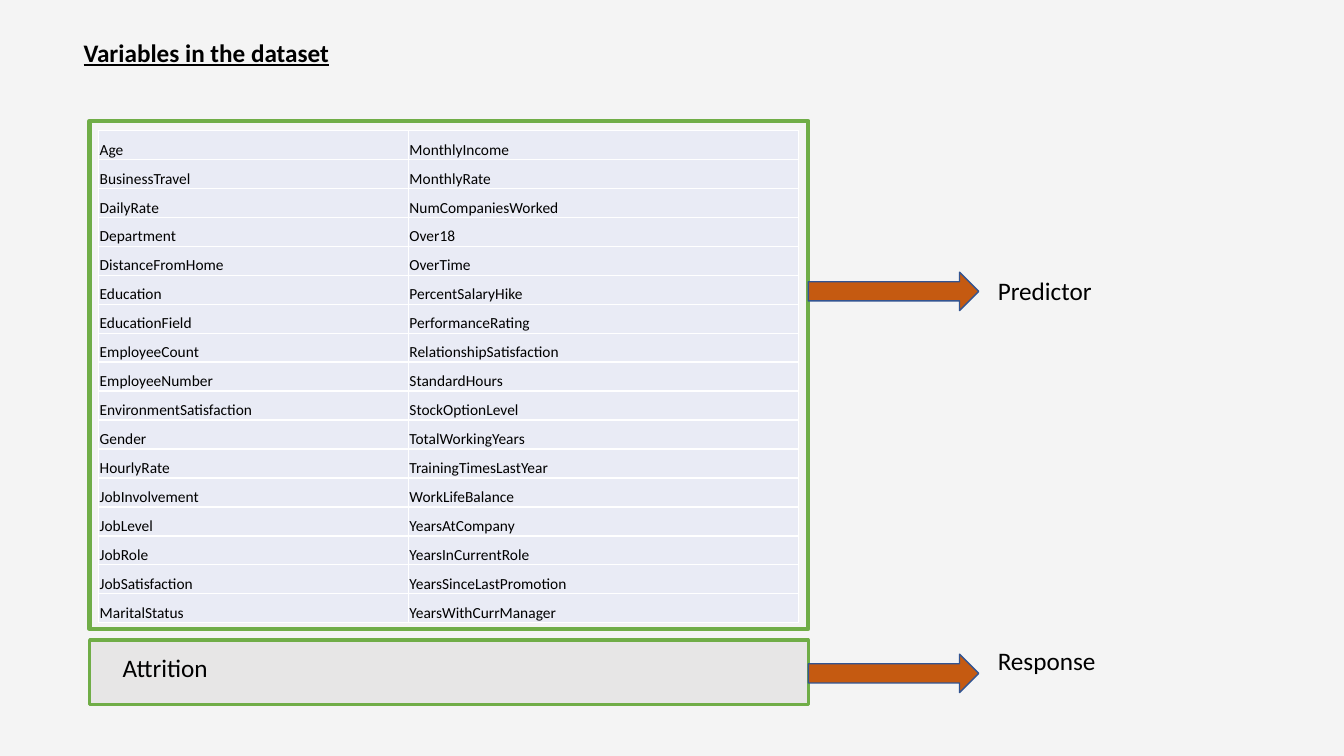
from lxml import etree
from pptx import Presentation
from pptx.dml.color import RGBColor
from pptx.enum.shapes import MSO_SHAPE
from pptx.enum.text import MSO_ANCHOR, MSO_AUTO_SIZE
from pptx.oxml.ns import qn
from pptx.util import Pt

RECTANGLE, RIGHT_ARROW = MSO_SHAPE.RECTANGLE, MSO_SHAPE.RIGHT_ARROW
BOTTOM, FIT_SHAPE = MSO_ANCHOR.BOTTOM, MSO_AUTO_SIZE.SHAPE_TO_FIT_TEXT

HEADING = "Variables in the dataset"
PREDICTORS = [
    ("Age", "MonthlyIncome"),
    ("BusinessTravel", "MonthlyRate"),
    ("DailyRate", "NumCompaniesWorked"),
    ("Department", "Over18"),
    ("DistanceFromHome", "OverTime"),
    ("Education", "PercentSalaryHike"),
    ("EducationField", "PerformanceRating"),
    ("EmployeeCount", "RelationshipSatisfaction"),
    ("EmployeeNumber", "StandardHours"),
    ("EnvironmentSatisfaction", "StockOptionLevel"),
    ("Gender", "TotalWorkingYears"),
    ("HourlyRate", "TrainingTimesLastYear"),
    ("JobInvolvement", "WorkLifeBalance"),
    ("JobLevel", "YearsAtCompany"),
    ("JobRole", "YearsInCurrentRole"),
    ("JobSatisfaction", "YearsSinceLastPromotion"),
    ("MaritalStatus", "YearsWithCurrManager"),
]
TARGET = "Attrition"
ROLES = [
    {"label": "Predictor", "label_top": 193, "arrow_top": 194.4},
    {"label": "Response", "label_top": 457.2, "arrow_top": 467.3},
]

THEME = {
    "font": "Calibri", "body": 18, "cell": 11,
    "background": "F4F4F4", "text": "000000", "frame": "70AD47",
    "target": "E7E6E6", "arrow": "C55A11", "arrow_line": "325491",
    "cell_fill": "E9EBF5", "grid": "FFFFFF",
}

SLIDE_WIDTH, SLIDE_HEIGHT = 960, 540
FRAME_LEFT, FRAME_WIDTH = 64, 513.4
FRAME_RIGHT = FRAME_LEFT + FRAME_WIDTH
ARROW_WIDTH, ARROW_HEIGHT = 121.7, 27.4
LABEL_LEFT = FRAME_RIGHT + ARROW_WIDTH + 6.5
TABLE_LEFT, TABLE_TOP, TABLE_HEIGHT = 70.6, 93.1, 352.2
COLUMN_WIDTHS = [221.3, 278.7]
CELL_FORMAT = {
    "margin_left": Pt(0.6), "margin_right": Pt(0.6),
    "margin_top": Pt(0.6), "margin_bottom": 0,
    "vertical_anchor": BOTTOM,
}


def color(role):
    return RGBColor.from_string(THEME[role])


def write(frame, text, size, **extras):
    run = frame.paragraphs[0].add_run()
    run.text = text
    font_format = {"name": THEME["font"], "size": Pt(THEME[size]), **extras}
    for key, value in font_format.items():
        setattr(run.font, key, value)
    run.font.color.rgb = color("text")


def add_text(slide, text, left, top, width, **extras):
    box = slide.shapes.add_textbox(Pt(left), Pt(top), Pt(width), Pt(29))
    frame_format = {"word_wrap": True, "auto_size": FIT_SHAPE}
    for key, value in frame_format.items():
        setattr(box.text_frame, key, value)
    write(box.text_frame, text, "body", **extras)


def add_block(slide, preset, bounds, fill, line, weight):
    block = slide.shapes.add_shape(preset, *map(Pt, bounds))
    block.shadow.inherit = False
    if fill:
        block.fill.solid()
        block.fill.fore_color.rgb = color(fill)
    else:
        block.fill.background()
    block.line.color.rgb = color(line)
    block.line.width = Pt(weight)


def add_borders(cell):
    properties = cell._tc.get_or_add_tcPr()
    for index, side in enumerate(("a:lnL", "a:lnR", "a:lnT", "a:lnB")):
        border = etree.Element(qn(side), w=str(Pt(1)))
        paint = etree.SubElement(border, qn("a:solidFill"))
        etree.SubElement(paint, qn("a:srgbClr"), val=THEME["grid"])
        properties.insert(index, border)


def add_predictors(slide):
    table = slide.shapes.add_table(
        len(PREDICTORS), len(COLUMN_WIDTHS), Pt(TABLE_LEFT), Pt(TABLE_TOP),
        Pt(sum(COLUMN_WIDTHS)), Pt(TABLE_HEIGHT)).table
    table.first_row = table.horz_banding = False
    for column, width in zip(table.columns, COLUMN_WIDTHS):
        column.width = Pt(width)
    for row, names in zip(table.rows, PREDICTORS):
        row.height = Pt(TABLE_HEIGHT / len(PREDICTORS))
        for cell, name in zip(row.cells, names):
            for key, value in CELL_FORMAT.items():
                setattr(cell, key, value)
            cell.fill.solid()
            cell.fill.fore_color.rgb = color("cell_fill")
            add_borders(cell)
            write(cell.text_frame, name, "cell")


def main():
    deck = Presentation()
    deck.slide_width, deck.slide_height = Pt(SLIDE_WIDTH), Pt(SLIDE_HEIGHT)
    slide = deck.slides.add_slide(deck.slide_layouts[6])
    slide.background.fill.solid()
    slide.background.fill.fore_color.rgb = color("background")

    add_text(slide, HEADING, 52.6, 23, 320.4, bold=True, underline=True)
    add_block(slide, RECTANGLE, (FRAME_LEFT, 86.4, FRAME_WIDTH, 362.9),
              None, "frame", 3)
    add_block(slide, RECTANGLE, (FRAME_LEFT, 457.2, FRAME_WIDTH, 46.1),
              "target", "frame", 2.25)
    for role in ROLES:
        add_block(slide, RIGHT_ARROW,
                  (FRAME_RIGHT, role["arrow_top"], ARROW_WIDTH, ARROW_HEIGHT),
                  "arrow", "arrow_line", 1)
        add_text(slide, role["label"], LABEL_LEFT, role["label_top"], 240)
    add_predictors(slide)
    add_text(slide, TARGET, 80.6, 462.2, 170)
    deck.save("out.pptx")


if __name__ == "__main__":
    main()
